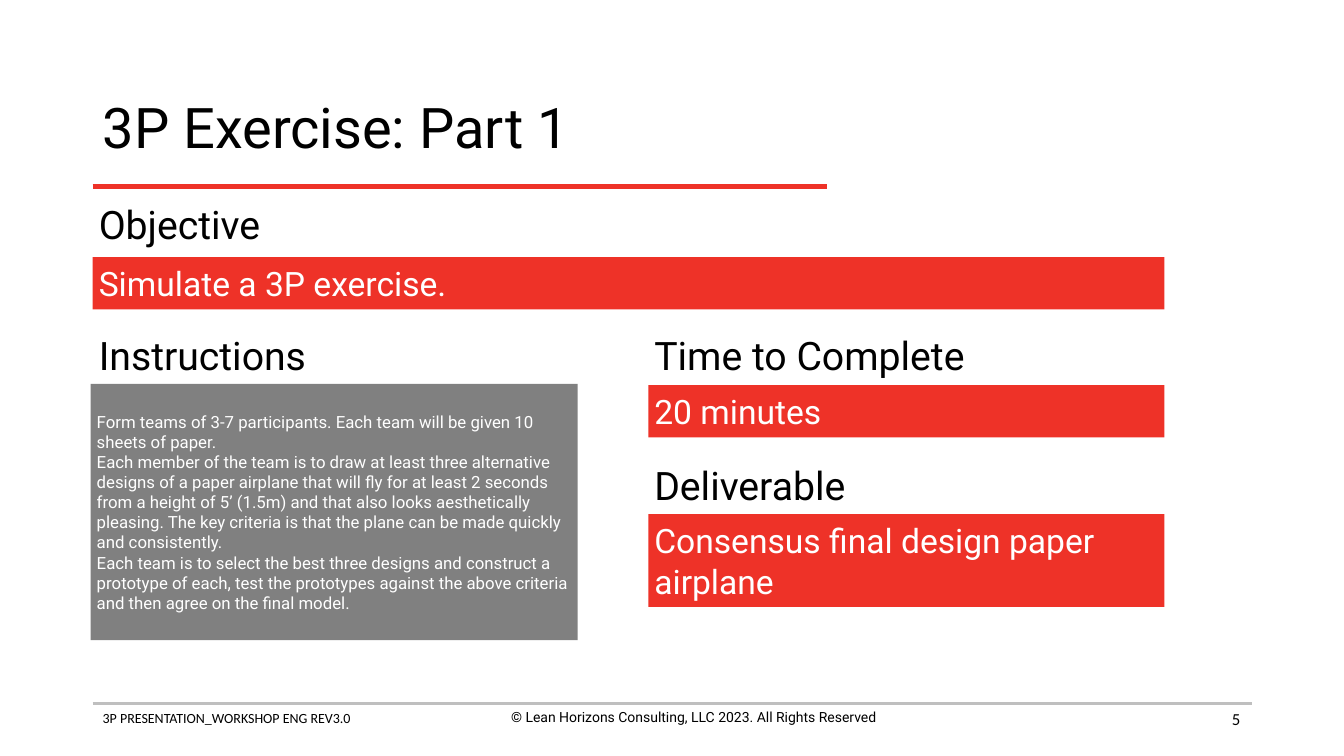
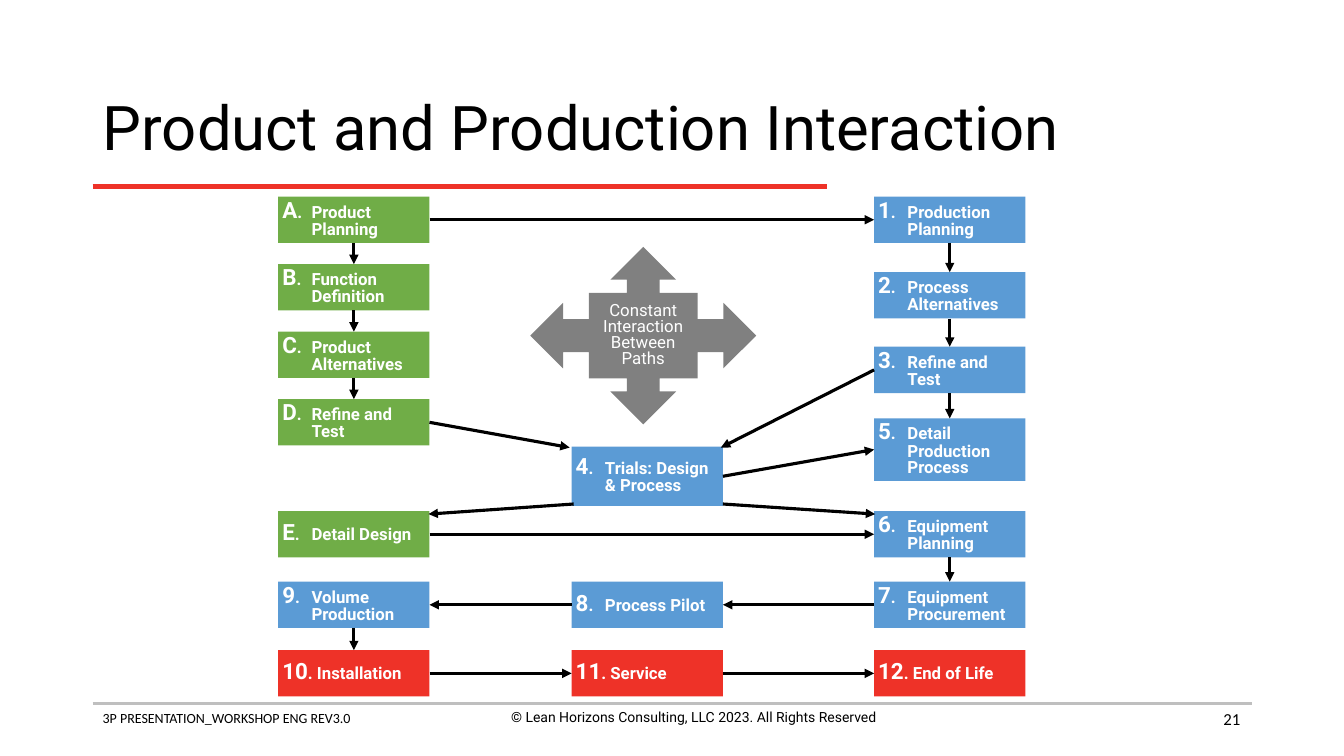
"""Build two 3P workshop slides: an exercise brief and a product and production flow."""
from pptx import Presentation
from pptx.dml.color import RGBColor
from pptx.enum.shapes import MSO_CONNECTOR, MSO_SHAPE
from pptx.enum.text import MSO_ANCHOR, MSO_AUTO_SIZE, PP_ALIGN
from pptx.oxml.ns import qn
from pptx.util import Inches, Pt
from lxml import etree

BLACK = RGBColor(0x00, 0x00, 0x00)
WHITE = RGBColor(0xFF, 0xFF, 0xFF)
RED = RGBColor(0xEE, 0x32, 0x28)
GRAY = RGBColor(0x80, 0x80, 0x80)
SILVER = RGBColor(0xBF, 0xBF, 0xBF)
GREEN = RGBColor(0x70, 0xAD, 0x47)
BLUE = RGBColor(0x5B, 0x9B, 0xD5)
LEFT, CENTER, RIGHT = PP_ALIGN.LEFT, PP_ALIGN.CENTER, PP_ALIGN.RIGHT
TOP, MIDDLE = MSO_ANCHOR.TOP, MSO_ANCHOR.MIDDLE
RECT, CALLOUT = MSO_SHAPE.RECTANGLE, MSO_SHAPE.QUAD_ARROW_CALLOUT
STRAIGHT = MSO_CONNECTOR.STRAIGHT
SITE_TOP, SITE_LEFT, SITE_BOTTOM, SITE_RIGHT = range(4)


def add_box(s, at, paragraphs, fill=None, shape=RECT, color=BLACK, font="Roboto", bold=False,
            align=LEFT, anchor=TOP, inset=None, spacing=None, hanging=None, wrap=True):
    """Add a text box, or a filled shape; each paragraph is a list of (text, size) runs."""
    at = [Inches(v) for v in at]
    if fill is None:
        sp = s.shapes.add_textbox(*at)
    else:
        sp = s.shapes.add_shape(shape, *at)
        sp.shadow.inherit = False
        sp.fill.solid()
        sp.fill.fore_color.rgb = fill
        sp.line.fill.background()
    tf = sp.text_frame
    tf.word_wrap = wrap
    tf.vertical_anchor = anchor
    if inset is not None:
        for side in ("left", "top", "right", "bottom"):
            setattr(tf, f"margin_{side}", Inches(inset))
    for i, runs in enumerate(paragraphs):
        p = tf.add_paragraph() if i else tf.paragraphs[0]
        p.alignment = align
        p.line_spacing = spacing
        if hanging is not None:
            pPr = p._p.get_or_add_pPr()
            pPr.set("marL", str(Inches(hanging)))
            pPr.set("indent", str(-Inches(hanging)))
        for text, size in runs:
            r = p.add_run()
            r.text = text
            for name, value in {"name": font, "size": Pt(size), "bold": bold}.items():
                setattr(r.font, name, value)
            r.font.color.rgb = color
    return sp


def add_line(s, points, color=BLACK, width=2.25, arrow=False):
    """Add a straight line through (x1, y1, x2, y2), with an optional arrowhead."""
    line = s.shapes.add_connector(STRAIGHT, *[Inches(v) for v in points])
    line.line.color.rgb = color
    line.line.width = Pt(width)
    spPr = line._element.spPr
    if arrow:
        etree.SubElement(spPr.find(qn("a:ln")), qn("a:tailEnd"), type="triangle")
    etree.SubElement(spPr, qn("a:effectLst"))
    return line


prs = Presentation()
prs.slide_width, prs.slide_height = Inches(13.33), Inches(7.5)

pages = [("3P Exercise: Part 1", 40, "5"), ("Product and Production Interaction", 44, "21")]
for title, size, number in pages:
    s = prs.slides.add_slide(prs.slide_layouts[5])
    add_line(s, (0.92, 6.98, 12.42, 6.98), SILVER, 2)
    add_box(s, (0.92, 6.99, 4.56, 0.44), [[("3P PRESENTATION_WORKSHOP ENG REV3.0", 10)]],
            font="Calibri")
    add_box(s, (4.6, 6.98, 4.56, 0.44),
            [[("© Lean Horizons Consulting, LLC 2023. All Rights Reserved", 10)]], align=CENTER)
    add_box(s, (9.4, 6.93, 3, 0.4), [[(number, 12)]], font="Calibri", align=RIGHT, anchor=MIDDLE)
    add_line(s, (0.92, 1.85, 8.2, 1.85), RED, 3)
    sp = s.shapes.title
    sp.left, sp.top, sp.width, sp.height = [Inches(v) for v in (0.92, 0.74, 11.5, 1.1)]
    tf = sp.text_frame
    tf.text = title
    tf.auto_size = MSO_AUTO_SIZE.NONE
    tf.vertical_anchor = MIDDLE
    p = tf.paragraphs[0]
    p.alignment = LEFT
    p.line_spacing = 0.9
    for name, value in {"name": "Roboto", "size": Pt(size)}.items():
        setattr(p.font, name, value)
    p.font.color.rgb = BLACK

exercise, flow = prs.slides

headings = [
    ("Objective", 0.92, 1.93, 1.75),
    ("Instructions", 0.92, 3.23, 2.21),
    ("Time to Complete", 6.43, 3.23, 3.25),
    ("Deliverable", 6.43, 4.52, 2.07),
]
for text, x, y, w in headings:
    add_box(exercise, (x, y, w, 0.58), [[(text, 28)]], inset=0.06, wrap=False)

instructions = [
    "Form teams of 3-7 participants. Each team will be given 10 sheets of paper.",
    "Each member of the team is to draw at least three alternative designs of a paper airplane "
    "that will fly for at least 2 seconds from a height of 5’ (1.5m) and that also looks "
    "aesthetically pleasing. The key criteria is that the plane can be made quickly and "
    "consistently.",
    "Each team is to select the best three designs and construct a prototype of each, test the "
    "prototypes against the above criteria and then agree on the final model.",
]
panels = [
    ((0.92, 2.55, 10.63, 0.52), RED, 24, ["Simulate a 3P exercise."]),
    ((0.9, 3.81, 4.83, 2.54), GRAY, 12, instructions),
    ((6.43, 3.82, 5.12, 0.52), RED, 24, ["20 minutes"]),
    ((6.43, 5.1, 5.12, 0.92), RED, 24, ["Consensus final design paper airplane"]),
]
for at, fill, size, texts in panels:
    add_box(exercise, at, [[(text, size)] for text in texts], fill, color=WHITE,
            anchor=MIDDLE, inset=0.06)

PRODUCT_X, SHARED_X, PRODUCTION_X = 2.76, 5.67, 8.67
STEP_W, STEP_H = 1.5, 0.46
steps = [
    ("A", "Product Planning", PRODUCT_X, 1.95, STEP_H, GREEN),
    ("B", "Function Definition", PRODUCT_X, 2.62, STEP_H, GREEN),
    ("C", "Product Alternatives", PRODUCT_X, 3.29, STEP_H, GREEN),
    ("D", "Refine and Test", PRODUCT_X, 3.96, STEP_H, GREEN),
    ("E", "Detail Design", PRODUCT_X, 5.07, STEP_H, GREEN),
    ("1", "Production Planning", PRODUCTION_X, 1.95, STEP_H, BLUE),
    ("2", "Process Alternatives", PRODUCTION_X, 2.7, STEP_H, BLUE),
    ("3", "Refine and Test", PRODUCTION_X, 3.44, STEP_H, BLUE),
    ("4", "Trials: Design & Process", SHARED_X, 4.43, 0.59, BLUE),
    ("5", "Detail Production Process", PRODUCTION_X, 4.15, 0.62, BLUE),
    ("6", "Equipment Planning", PRODUCTION_X, 5.07, STEP_H, BLUE),
    ("7", "Equipment Procurement", PRODUCTION_X, 5.77, STEP_H, BLUE),
    ("8", "Process Pilot", SHARED_X, 5.77, STEP_H, BLUE),
    ("9", "Volume Production", PRODUCT_X, 5.77, STEP_H, BLUE),
    ("10", "Installation", PRODUCT_X, 6.45, STEP_H, RED),
    ("11", "Service", SHARED_X, 6.45, STEP_H, RED),
    ("12", "End of Life", PRODUCTION_X, 6.45, STEP_H, RED),
]
boxes = {}
for key, text, x, y, h, fill in steps:
    label = f". {text}" if fill == RED else f". \t{text}"
    boxes[key] = add_box(flow, (x, y, STEP_W, h), [[(key, 16), (label, 12)]], fill, color=WHITE,
                         bold=True, anchor=MIDDLE, inset=0.04, spacing=0.8, hanging=0.29)

add_box(flow, (5.26, 2.45, 2.24, 1.76), [[("Constant Interaction Between Paths", 12)]], GRAY,
        CALLOUT, WHITE, align=CENTER, anchor=MIDDLE, inset=0.04, spacing=0.8)

links = [
    (SITE_BOTTOM, SITE_TOP, ["A B", "B C", "C D", "1 2", "2 3", "3 5", "6 7", "9 10"]),
    (SITE_RIGHT, SITE_LEFT, ["A 1", "4 5", "E 6", "10 11", "11 12"]),
    (SITE_LEFT, SITE_RIGHT, ["7 8", "8 9"]),
]
for start_site, end_site, pairs in links:
    for pair in pairs:
        start, end = pair.split()
        arrow = add_line(flow, (0, 0, 0, 0), arrow=True)
        arrow.begin_connect(boxes[start], start_site)
        arrow.end_connect(boxes[end], end_site)

corner_arrows = [
    (4.26, 4.19, 5.65, 4.44),
    (8.67, 3.67, 7.15, 4.44),
    (5.69, 5, 4.25, 5.1),
    (7.17, 5, 8.68, 5.1),
]
for points in corner_arrows:
    add_line(flow, points, arrow=True)

prs.save("out.pptx")
